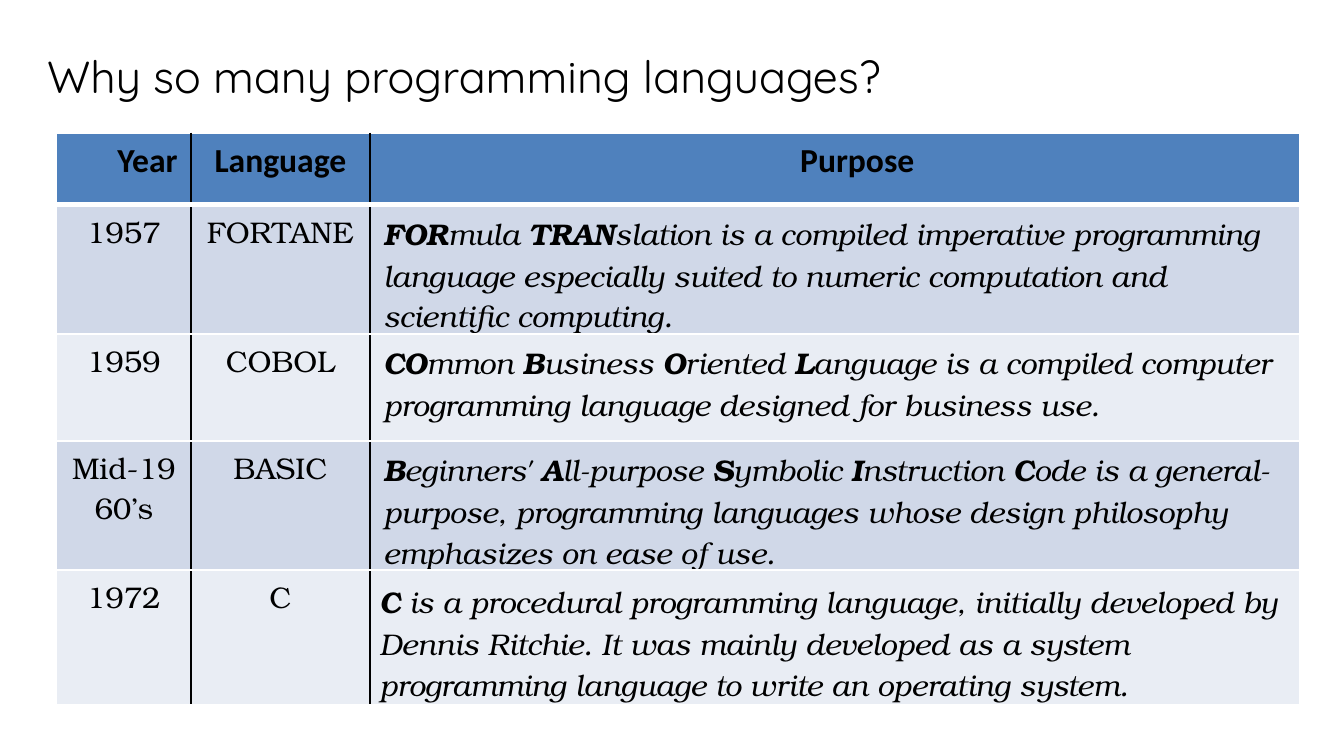
"""Build a slide with a table of early programming languages and their purposes."""
import pptx
import pptx.util
import pptx.dml.color
import pptx.enum.text
import pptx.oxml
import pptx.oxml.ns
from pptx.util import Cm

TITLE = "Why so many programming languages?"
HEADER = ["Year", "Language", "Purpose"]
ROWS = [
    ("1957", "FORTANE",
     "*FOR*mula *TRAN*slation is a compiled imperative programming language "
     "especially suited to numeric computation and scientific computing."),
    ("1959", "COBOL",
     "*CO*mmon *B*usiness *O*riented *L*anguage is a compiled computer "
     "programming language designed for business use."),
    ("Mid-1960’s", "BASIC",
     "*B*eginners' *A*ll-purpose *S*ymbolic *I*nstruction *C*ode is a general-purpose, "
     "programming languages whose design philosophy emphasizes on ease of use."),
    ("1972", "C",
     "*C* is a procedural programming language, initially developed by Dennis Ritchie. "
     "It was mainly developed as a system programming language to write an operating system."),
]
COLORS = {"text": "000000", "line": "000000", "gap": "FFFFFF",
          "header": "4F81BD", "odd": "D0D8E8", "even": "E9EDF4"}
COL_WIDTHS = [2.54, 3.38, 17.58]
ROW_HEIGHTS = [1.35, 2.44, 2.03, 2.44, 2.54]
ALIGN = pptx.enum.text.PP_ALIGN


def rgb(name):
    return pptx.dml.color.RGBColor.from_string(COLORS[name])


def add_run(p, text, font, size, bold=False, italic=False):
    r = p.add_run()
    r.text = text
    r.font.name, r.font.size = font, pptx.util.Pt(size)
    r.font.bold, r.font.italic = bold, italic
    r.font.color.rgb = rgb("text")


def add_border(cell, side, color, width):
    cell._tc.get_or_add_tcPr().append(pptx.oxml.parse_xml(
        f'<a:ln{side} {pptx.oxml.ns.nsdecls("a")} w="{pptx.util.Pt(width)}">'
        f'<a:solidFill><a:srgbClr val="{COLORS[color]}"/></a:solidFill></a:ln{side}>'))


def style_cell(cell, row, col):
    last = len(HEADER) - 1
    add_border(cell, "L", "line" if col else "gap", 1)
    add_border(cell, "R", "line" if col < last else "gap", 1)
    add_border(cell, "T", "gap", 3 if row == 1 else 1)
    add_border(cell, "B", "gap", 1 if row else 3)
    cell.fill.solid()
    cell.fill.fore_color.rgb = rgb("header" if row == 0 else "odd" if row % 2 else "even")


def add_title(slide):
    tf = slide.shapes.add_textbox(Cm(0.64), Cm(0.79), Cm(19.48), Cm(1.27)).text_frame
    tf.word_wrap = True
    add_run(tf.paragraphs[0], TITLE, "Quicksand", 24)


def add_language_table(slide):
    table = slide.shapes.add_table(
        len(ROW_HEIGHTS), len(COL_WIDTHS), Cm(1.07), Cm(2.52),
        Cm(sum(COL_WIDTHS)), Cm(sum(ROW_HEIGHTS))).table
    for column, width in zip(table.columns, COL_WIDTHS):
        column.width = Cm(width)
    for row, height in zip(table.rows, ROW_HEIGHTS):
        row.height = Cm(height)
    for i, texts in enumerate([HEADER, *ROWS]):
        for j, text in enumerate(texts):
            cell = table.cell(i, j)
            style_cell(cell, i, j)
            p = cell.text_frame.paragraphs[0]
            if i == 0:
                p.alignment = ALIGN.CENTER if j else ALIGN.RIGHT
                add_run(p, text, "Calibri", 18, bold=True)
                continue
            purpose = j == len(HEADER) - 1
            p.alignment = ALIGN.LEFT if purpose else ALIGN.CENTER
            for k, part in enumerate(text.split("*")):
                if part:
                    add_run(p, part, "TeX Gyre Bonum", 16, bold=k % 2 == 1, italic=purpose)
    table.cell(0, 2).margin_left = Cm(1.1)
    cell = table.cell(len(ROWS), 2)
    cell.margin_left = cell.margin_right = cell.margin_top = cell.margin_bottom = Cm(0.18)


def main():
    prs = pptx.Presentation()
    prs.slide_width, prs.slide_height = Cm(25.4), Cm(14.29)
    slide = prs.slides.add_slide(prs.slide_layouts[6])
    add_title(slide)
    add_language_table(slide)
    prs.save("out.pptx")


if __name__ == "__main__":
    main()
